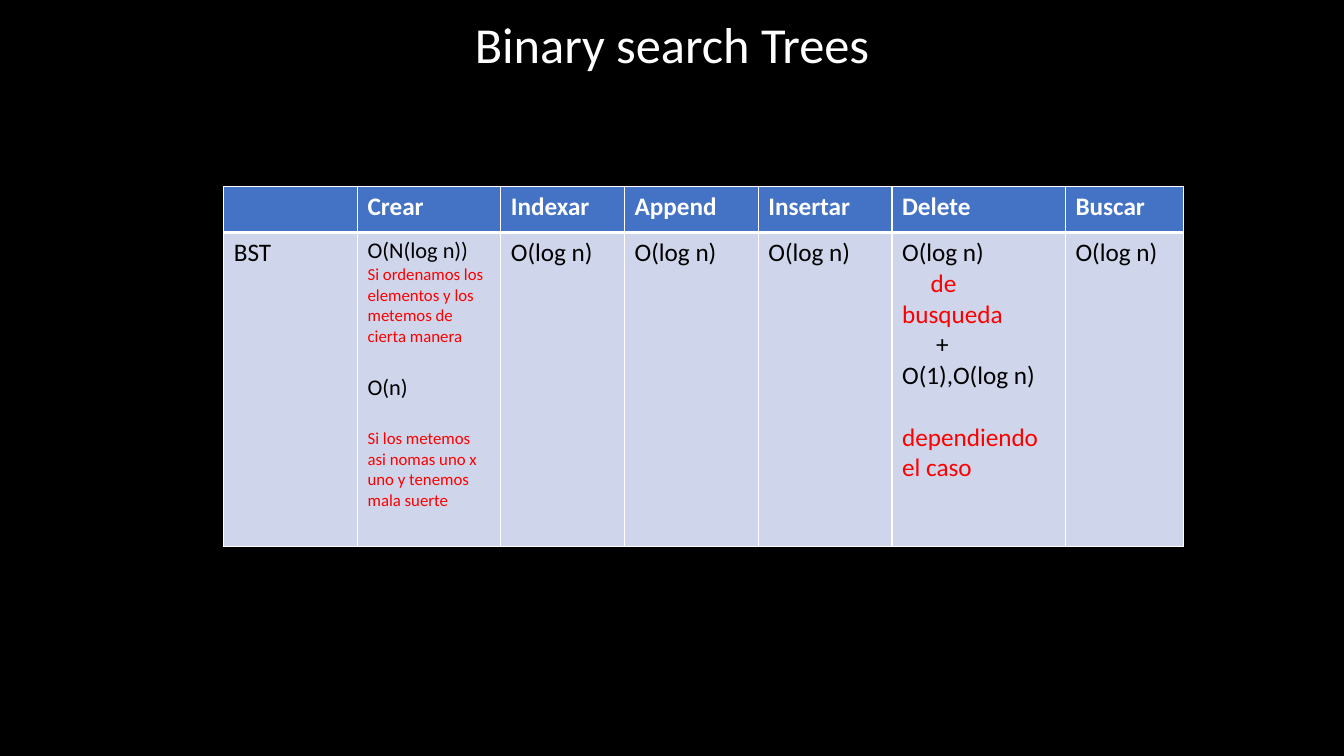
from lxml.etree import SubElement
from pptx import Presentation
from pptx.dml.color import RGBColor
from pptx.enum.text import MSO_ANCHOR, PP_ALIGN
from pptx.oxml.ns import qn
from pptx.util import Cm, Pt

BLACK = RGBColor(0, 0, 0)
WHITE = RGBColor(255, 255, 255)
RED = RGBColor(255, 0, 0)
HEADER_BLUE = RGBColor(0x44, 0x72, 0xC4)
BODY_BLUE = RGBColor(0xCF, 0xD5, 0xEA)

# Content: each cell is a list of (text, style) paragraphs
TITLE = "Binary search Trees"
OPERATIONS = ["", "Crear", "Indexar", "Append", "Insertar", "Delete", "Buscar"]
LOG_COST = [("O(log n)", "cost")]
CREATE_COST = [
    ("O(N(log n))", "small cost"),
    ("Si ordenamos los elementos y los metemos de cierta manera", "note"),
    ("O(n)", "spaced cost"),
    ("Si los metemos asi nomas uno x uno y tenemos mala suerte", "spaced note"),
]
DELETE_COST = LOG_COST + [
    ("de busqueda", "search"),
    ("+", "plus"),
    ("O(1),O(log n)", "cost"),
    ("dependiendo el caso", "case"),
]
BST_COSTS = [[("BST", "cost")], CREATE_COST, LOG_COST, LOG_COST, LOG_COST,
             DELETE_COST, LOG_COST]
ROWS = [[[(operation, "header")] for operation in OPERATIONS], BST_COSTS]

# Formats: font values, space before in points, first-line indent in cm
STYLES = {
    "title": ({"size": Pt(36)}, WHITE, 0, 0),
    "header": ({"size": Pt(18), "bold": True}, WHITE, 0, 0),
    "cost": ({"size": Pt(18)}, BLACK, 0, 0),
    "small cost": ({"size": Pt(16)}, BLACK, 0, 0),
    "spaced cost": ({"size": Pt(16)}, BLACK, 19.5, 0),
    "note": ({"size": Pt(12)}, RED, 0, 0),
    "spaced note": ({"size": Pt(12)}, RED, 19.5, 0),
    "search": ({"size": Pt(18)}, RED, 0, 0.72),
    "plus": ({"size": Pt(18)}, BLACK, 0, 0.86),
    "case": ({"size": Pt(18)}, RED, 22, 0),
}
ROW_FILLS = [HEADER_BLUE, BODY_BLUE]
ROW_BORDERS = [{"L": 1, "R": 1, "T": 1, "B": 3}, {"L": 1, "R": 1, "T": 3, "B": 1}]
COLUMN_WIDTHS = [3.37, 3.61, 3.12, 3.37, 3.37, 4.37, 2.97]
ROW_HEIGHTS = [1.16, 7.92]


def write(frame, lines):
    for index, (text, style) in enumerate(lines):
        line = frame.add_paragraph() if index else frame.paragraphs[0]
        font_values, color, space_before, indent = STYLES[style]
        line.space_before = Pt(space_before)
        if indent:
            line._p.get_or_add_pPr().set("indent", str(Cm(indent)))
        if text:
            line.add_run().text = text
        for name, value in {"name": "Calibri", "bold": False, **font_values}.items():
            setattr(line.font, name, value)
            for run in line.runs:
                setattr(run.font, name, value)
        for run in line.runs:
            run.font.color.rgb = color


def draw_borders(cell, borders):
    properties = cell._tc.get_or_add_tcPr()
    for side, width in borders.items():
        border = SubElement(properties, qn(f"a:ln{side}"), w=str(Pt(width)))
        fill = SubElement(border, qn("a:solidFill"))
        SubElement(fill, qn("a:srgbClr"), val=str(WHITE))


# Slide
deck = Presentation()
deck.slide_width, deck.slide_height = Cm(33.87), Cm(19.05)
slide = deck.slides.add_slide(deck.slide_layouts[6])
slide.background.fill.solid()
slide.background.fill.fore_color.rgb = BLACK

# Title
title = slide.shapes.add_textbox(Cm(4.24), Cm(0.36), Cm(25.4), Cm(1.65)).text_frame
title.word_wrap = True
title.vertical_anchor = MSO_ANCHOR.BOTTOM
write(title, [(TITLE, "title")])
title.paragraphs[0].alignment = PP_ALIGN.CENTER
title.paragraphs[0].line_spacing = 0.9

# Cost table
costs = slide.shapes.add_table(
    len(ROWS), len(OPERATIONS), Cm(5.64), Cm(4.7),
    Cm(sum(COLUMN_WIDTHS)), Cm(sum(ROW_HEIGHTS))).table
for column, width in zip(costs.columns, COLUMN_WIDTHS):
    column.width = Cm(width)
for row, height, contents, fill, borders in zip(
        costs.rows, ROW_HEIGHTS, ROWS, ROW_FILLS, ROW_BORDERS):
    row.height = Cm(height)
    for cell, lines in zip(row.cells, contents):
        draw_borders(cell, borders)
        cell.fill.solid()
        cell.fill.fore_color.rgb = fill
        write(cell.text_frame, lines)

deck.save("out.pptx")
